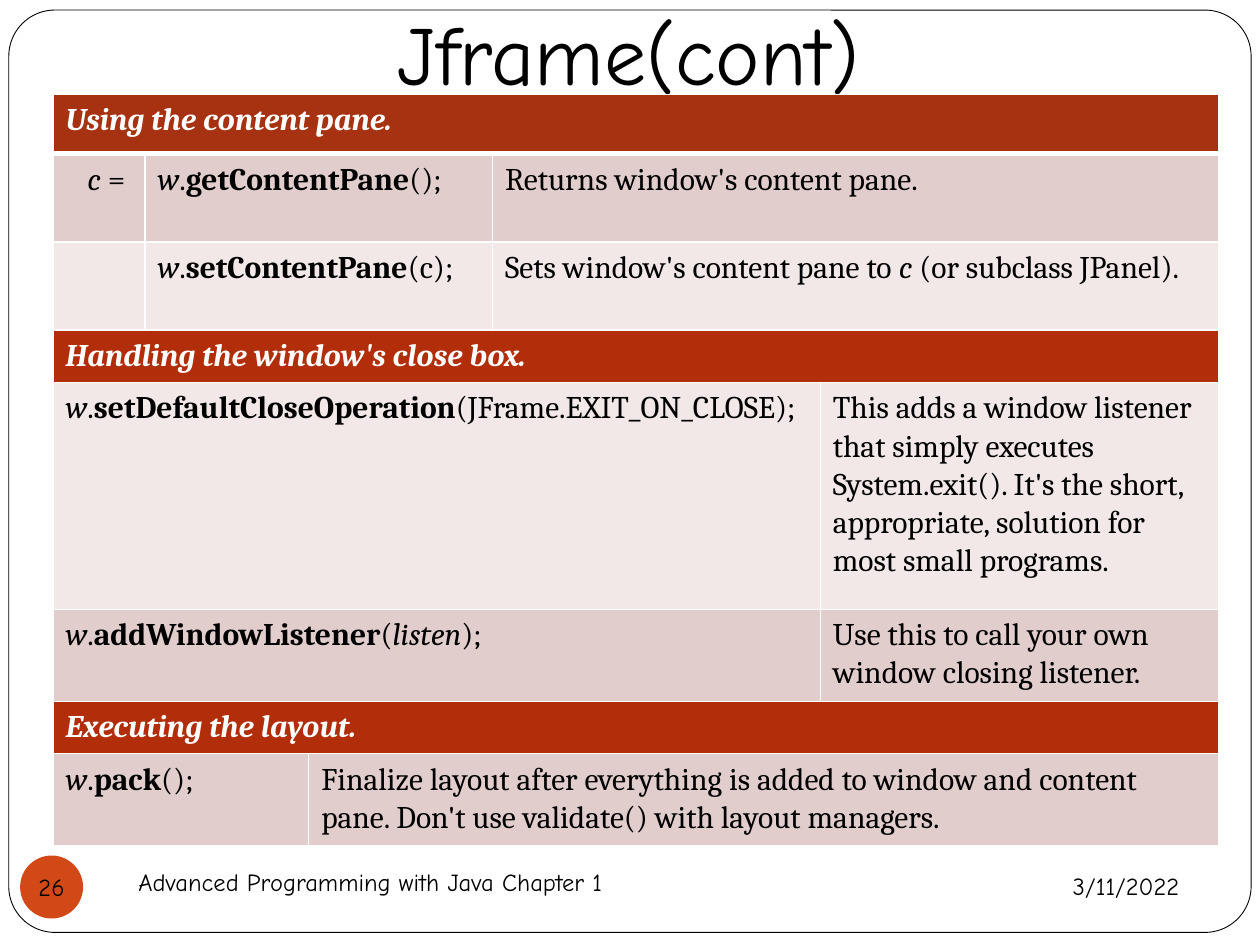
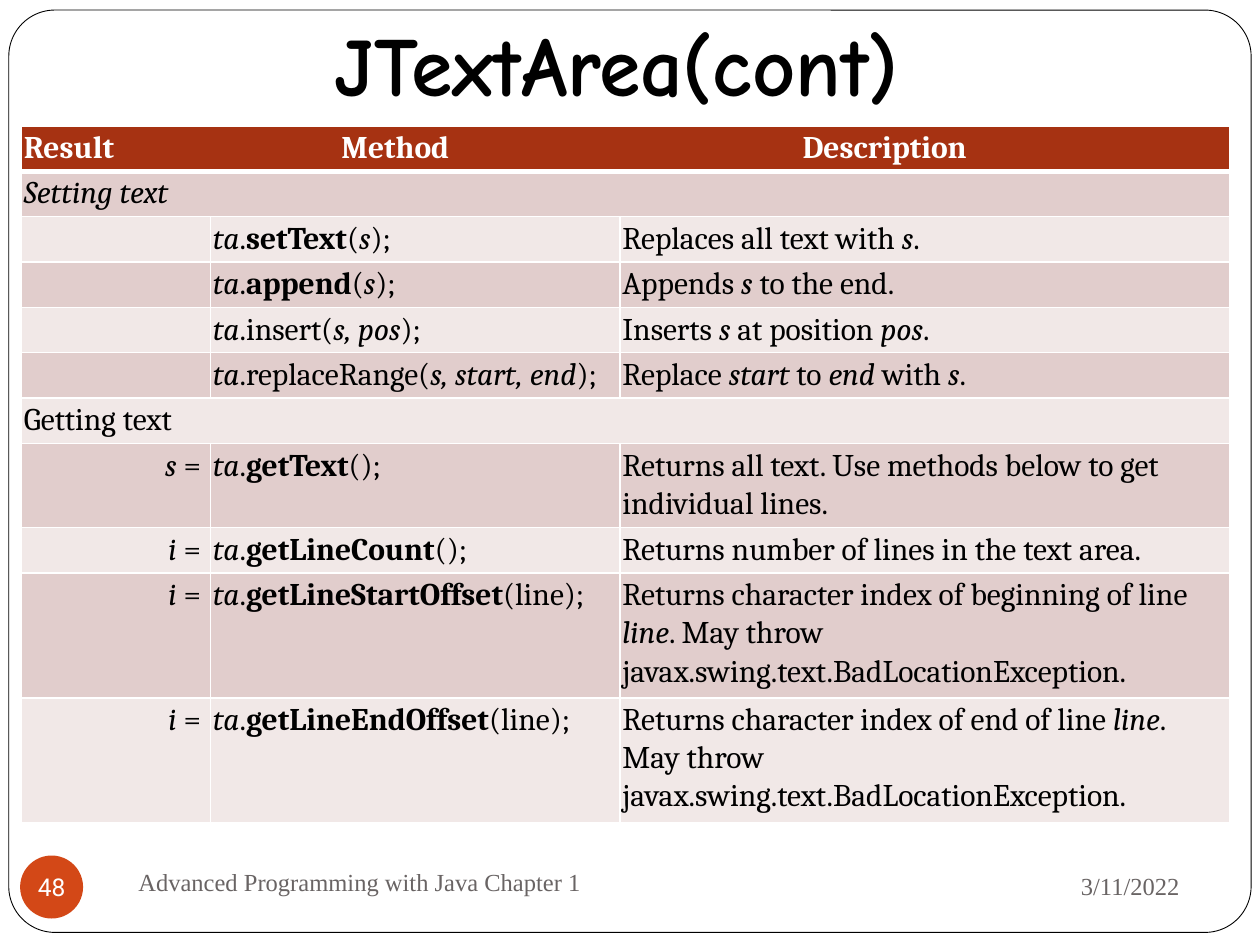
"""Build two Java Swing reference slides that share a frame, title, table and footer style."""
from lxml import etree
from pptx import Presentation
from pptx.dml.color import RGBColor
from pptx.enum.shapes import MSO_SHAPE
from pptx.enum.text import MSO_ANCHOR, PP_ALIGN
from pptx.oxml.ns import qn
from pptx.util import Inches, Pt

BLACK = RGBColor(0x00, 0x00, 0x00)
WHITE = RGBColor(0xFF, 0xFF, 0xFF)
GRAY = RGBColor(0x69, 0x64, 0x64)
ORANGE = RGBColor(0xD3, 0x48, 0x17)
HEADER_RED = RGBColor(0xA6, 0x32, 0x12)
SECTION_RED = RGBColor(0xB2, 0x2D, 0x09)
ROSE = RGBColor(0xE1, 0xCD, 0xCC)
PALE_ROSE = RGBColor(0xF1, 0xE8, 0xE7)

COMIC, TIMES, ROBOTO, CAMBRIA = "Comic Neue", "Times New Roman", "Roboto", "Cambria"
FOOTER = "Advanced Programming with Java Chapter 1"
DATE = "3/11/2022"
FRAME_AT = (0.07, 0.08, 9.86, 7.32)
DATE_AT = (6.75, 6.77, 2.71, 0.52)
FOOTER_AT = (1, 6.75, 4.33, 0.5)
BADGE_AT = (0.16, 6.79, 0.5, 0.5)
THIN, THICK = 0.91, 2.95

# In cell text, *...* is italic and |...| is bold; each cell is (text, columns spanned).
SLIDES = [
    {
        "title": "Jframe(cont)", "title_at": (0.67, -0.25, 8.64, 1.33), "title_bold": False,
        "number": "26",
        "footer_style": {"name": COMIC, "color": BLACK},
        "number_style": {"name": COMIC, "color": BLACK},
        "table_at": (0.42, 0.75), "margins": (0.1, 0.05), "header_tabs": (),
        "columns": (0.73, 1.3, 1.46, 2.6, 3.16),
        "sections": (0, 3, 6),
        "rows": [
            (0.47, [("|*Using the content pane.*|", 5)]),
            (0.7, [("*c* = ", 1), ("*w*.|getContentPane|();", 2),
                   ("Returns window's content pane.", 2)]),
            (0.7, [("", 1), ("*w*.|setContentPane|(c);", 2),
                   ("Sets window's content pane to *c* (or subclass JPanel).", 2)]),
            (0.39, [("|*Handling the window's close box.*|", 5)]),
            (1.8, [("*w*.|setDefaultCloseOperation|(JFrame.EXIT_ON_CLOSE);", 4),
                   ("This adds a window listener that simply executes System.exit(). "
                    "It's the short, appropriate, solution for most small programs.", 1)]),
            (0.7, [("*w*.|addWindowListener|(*listen*);", 4),
                   ("Use this to call your own window closing listener.", 1)]),
            (0.39, [("|*Executing the layout.*|", 5)]),
            (0.7, [("*w*.|pack|();", 2),
                   ("Finalize layout after everything is added to window and content pane. "
                    "Don't use validate() with layout managers.", 3)]),
        ],
    },
    {
        "title": "JTextArea(cont)", "title_at": (0.5, 0.03, 8.79, 0.94), "title_bold": True,
        "number": "48",
        "footer_style": {"name": TIMES, "color": GRAY},
        "number_style": {"name": ROBOTO, "color": WHITE},
        "table_at": (0.17, 1), "margins": (0.02, 0.02), "header_tabs": (2.52, 6.18),
        "columns": (1.5, 3.25, 4.84),
        "sections": (0,),
        "rows": [
            (0.36, [("|Result\tMethod\tDescription|", 3)]),
            (0.36, [("*Setting text*", 3)]),
            (0.36, [("", 1), ("*ta*.|setText|(*s*);", 1), ("Replaces all text with *s*.", 1)]),
            (0.36, [("", 1), ("*ta*.|append|(*s*);", 1), ("Appends *s* to the end.", 1)]),
            (0.36, [("", 1), ("*ta*.insert(*s, pos*);", 1),
                    ("Inserts *s* at position *pos*.", 1)]),
            (0.36, [("", 1), ("*ta*.replaceRange(*s, start, end*);", 1),
                    ("Replace *start* to *end* with *s*.", 1)]),
            (0.36, [("Getting text", 3)]),
            (0.67, [("*s* = ", 1), ("*ta*.|getText|();", 1),
                    ("Returns all text. Use methods below to get individual lines.", 1)]),
            (0.36, [("*i* = ", 1), ("*ta*.|getLineCount|();", 1),
                    ("Returns number of lines in the text area.", 1)]),
            (0.99, [("*i* = ", 1), ("*ta*.|getLineStartOffset|(line);", 1),
                    ("Returns character index of beginning of line *line*. "
                     "May throw javax.swing.text.BadLocationException.", 1)]),
            (0.99, [("*i* = ", 1), ("*ta*.|getLineEndOffset|(line);", 1),
                    ("Returns character index of end of line *line*. "
                     "May throw javax.swing.text.BadLocationException.", 1)]),
        ],
    },
]


def inches(values):
    return [Inches(value) for value in values]


def add_run(paragraph, text, color, **font_values):
    run = paragraph.add_run()
    run.text = text
    for key, value in font_values.items():
        setattr(run.font, key, value)
    run.font.color.rgb = color


def write_line(shape, text, align, size, **style):
    frame = shape.text_frame
    frame.vertical_anchor = MSO_ANCHOR.MIDDLE
    frame.paragraphs[0].alignment = align
    add_run(frame.paragraphs[0], text, size=Pt(size), **style)
    return frame


def add_label(slide, at, text, align, size=14, **style):
    label = slide.shapes.add_textbox(*inches(at))
    write_line(label, text, align, size, **style).word_wrap = True


def add_plain_shape(slide, kind, at, fill):
    shape = slide.shapes.add_shape(kind, *inches(at))
    shape.shadow.inherit = False
    shape.fill.solid()
    shape.fill.fore_color.rgb = fill
    return shape


def add_frame(slide):
    frame = add_plain_shape(slide, MSO_SHAPE.ROUNDED_RECTANGLE, FRAME_AT, WHITE)
    frame.adjustments[0] = 0.05
    frame.line.color.rgb = BLACK
    frame.line.width = Pt(0.5)


def add_badge(slide, number, style):
    badge = add_plain_shape(slide, MSO_SHAPE.OVAL, BADGE_AT, ORANGE)
    badge.line.fill.background()
    text = write_line(badge, number, PP_ALIGN.CENTER, 14, **style)
    text.word_wrap = False
    for side in ("left", "top", "right", "bottom"):
        setattr(text, f"margin_{side}", 0)


def set_borders(cell, row):
    widths = {"L": THIN, "R": THIN, "T": THICK if row == 1 else THIN,
              "B": THICK if row == 0 else THIN}
    properties = cell._tc.get_or_add_tcPr()
    for side, width in widths.items():
        line = etree.SubElement(properties, qn(f"a:ln{side}"), w=str(int(Pt(width))))
        fill = etree.SubElement(line, qn("a:solidFill"))
        etree.SubElement(fill, qn("a:srgbClr"), val=str(WHITE))


def set_tabs(paragraph, stops):
    tabs = etree.SubElement(paragraph._p.get_or_add_pPr(), qn("a:tabLst"))
    for stop in stops:
        etree.SubElement(tabs, qn("a:tab"), pos=str(Inches(stop)), algn="l")


def write_cell(cell, text, color, margins):
    cell.margin_left = cell.margin_right = Inches(margins[0])
    cell.margin_top = cell.margin_bottom = Inches(margins[1])
    paragraph = cell.text_frame.paragraphs[0]
    paragraph.line_spacing = 1.05
    paragraph.font.size = Pt(18)
    if text.endswith("= "):
        paragraph.alignment = PP_ALIGN.RIGHT
    for bold_index, part in enumerate(text.split("|")):
        for italic_index, piece in enumerate(part.split("*")):
            if piece:
                add_run(paragraph, piece, color, name=CAMBRIA, size=Pt(18),
                        bold=bold_index % 2 == 1, italic=italic_index % 2 == 1)
    return paragraph


def row_fill(row, sections):
    if row in sections:
        return SECTION_RED if row else HEADER_RED
    return ROSE if row % 2 else PALE_ROSE


def add_method_table(slide, content):
    rows, columns = content["rows"], content["columns"]
    size = (sum(columns), sum(height for height, _ in rows))
    table = slide.shapes.add_table(
        len(rows), len(columns), *inches(content["table_at"] + size)).table
    table.first_row = table.horz_banding = False
    for column, width in zip(table.columns, columns):
        column.width = Inches(width)
    for row, (height, cells) in enumerate(rows):
        table.rows[row].height = Inches(height)
        for cell in table.rows[row].cells:
            set_borders(cell, row)
            cell.fill.solid()
            cell.fill.fore_color.rgb = row_fill(row, content["sections"])
        start = 0
        for text, span in cells:
            cell = table.cell(row, start)
            if span > 1:
                cell.merge(table.cell(row, start + span - 1))
            color = WHITE if row in content["sections"] else BLACK
            paragraph = write_cell(cell, text, color, content["margins"])
            if "\t" in text:
                properties = paragraph._p.get_or_add_pPr()
                set_tabs(paragraph, content["header_tabs"])
                defaults = properties.find(qn("a:defRPr"))
                properties.append(defaults)
            start += span


def build_slide(deck, content):
    slide = deck.slides.add_slide(deck.slide_layouts[6])
    add_frame(slide)
    add_label(slide, DATE_AT, DATE, PP_ALIGN.RIGHT, **content["footer_style"])
    add_label(slide, FOOTER_AT, FOOTER, PP_ALIGN.LEFT, **content["footer_style"])
    add_badge(slide, content["number"], content["number_style"])
    add_label(slide, content["title_at"], content["title"], PP_ALIGN.CENTER, 48,
              name=COMIC, color=BLACK, bold=content["title_bold"])
    add_method_table(slide, content)


def main():
    deck = Presentation()
    deck.slide_width, deck.slide_height = Inches(10), Inches(7.5)
    for content in SLIDES:
        build_slide(deck, content)
    deck.save("out.pptx")


if __name__ == "__main__":
    main()
